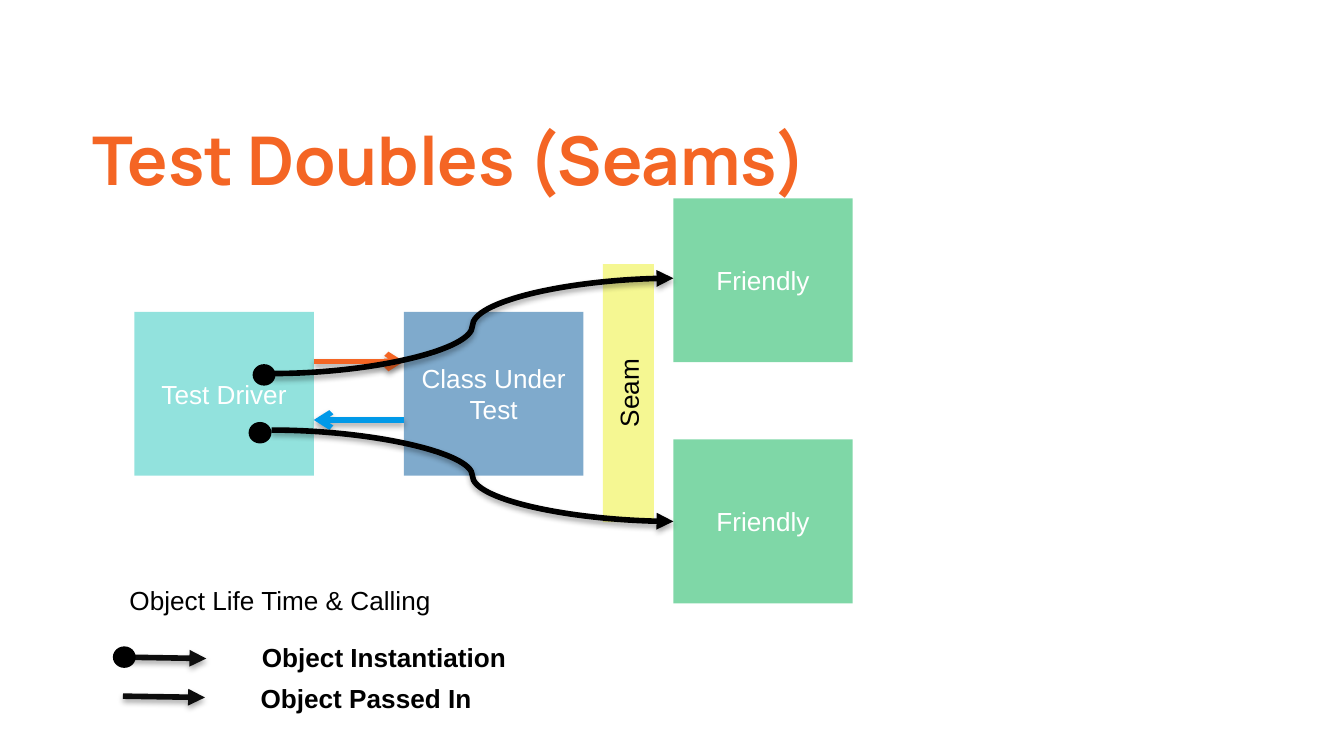
from dataclasses import dataclass

from lxml.etree import SubElement as Sub
from pptx import Presentation
from pptx.dml.color import RGBColor as Rgb
from pptx.enum.shapes import MSO_CONNECTOR as Wire, MSO_SHAPE as Form
from pptx.enum.text import MSO_ANCHOR as Anchor, MSO_AUTO_SIZE as Fit, PP_ALIGN as Align
from pptx.oxml.ns import qn
from pptx.util import Emu, Pt

SCALE = 4572  # EMU per px, 200 px to the inch


@dataclass(frozen=True)
class Theme:
    head: str = "F46524"
    driver: str = "27C7BD"
    target: str = "01579B"
    friend: str = "00B050"
    seam: str = "ECF127"
    reply: str = "0099E8"
    black: str = "000000"
    key: str = "0D0D0D"
    white: str = "FFFFFF"
    font: str = "Arial"
    title: str = "Manrope"
    big: int = 36
    body: int = 14
    line: int = 3


T = Theme()


def px(*vals):
    return [Emu(v * SCALE) for v in vals]


def apply(obj, **vals):
    for key, val in vals.items():
        setattr(obj, key, val)


def write(frame, text, color, align=Align.LEFT, **font):
    para = frame.paragraphs[0]
    para.alignment = align
    run = para.add_run()
    run.text = text
    look = {"name": T.font, "size": Pt(T.body)} | font
    apply(run.font, **look)
    run.font.color.rgb = Rgb.from_string(color)


def plain(slide, form, spot, color):
    shape = slide.shapes.add_shape(form, *px(*spot))
    shape.shadow.inherit = False
    shape.fill.solid()
    shape.fill.fore_color.rgb = Rgb.from_string(color)
    shape.line.fill.background()
    return shape


def block(slide, spot, color, text, ink=T.white, turn=0):
    """Half-clear box with a centred label."""
    shape = plain(slide, Form.RECTANGLE, spot, color)
    tint = shape.fill._xPr.find(qn("a:solidFill"))[0]
    Sub(tint, qn("a:alpha"), val="50000")
    shape.rotation = turn
    apply(shape.text_frame, word_wrap=True, vertical_anchor=Anchor.MIDDLE)
    write(shape.text_frame, text, ink, Align.CENTER)


def dot(slide, left, top):
    plain(slide, Form.FLOWCHART_CONNECTOR, (left, top, 34, 32), T.black)


def arrow(slide, ends, color, kind=Wire.STRAIGHT, tip="triangle"):
    wire = slide.shapes.add_connector(kind, *px(*ends))
    wire.line.width = Pt(T.line)
    wire.line.color.rgb = Rgb.from_string(color)
    Sub(wire.line._get_or_add_ln(), qn("a:tailEnd"), type=tip)
    # Soft shadow below the line
    fx = Sub(wire._element.spPr, qn("a:effectLst"))
    shade = Sub(fx, qn("a:outerShdw"), blurRad="40000", dist="23000",
                dir="5400000", rotWithShape="0")
    tint = Sub(shade, qn("a:srgbClr"), val=T.black)
    Sub(tint, qn("a:alpha"), val="35000")


def label(slide, spot, text, color=T.black, frame=None, **font):
    box = slide.shapes.add_textbox(*px(*spot)).text_frame
    look = {"word_wrap": False, "auto_size": Fit.SHAPE_TO_FIT_TEXT}
    apply(box, **(frame or look))
    write(box, text, color, **font)


def main():
    deck = Presentation()
    deck.slide_width, deck.slide_height = px(2000, 1125)
    slide = deck.slides.add_slide(deck.slide_layouts[6])

    # Title
    inset = px(20)[0]
    label(slide, (118, 156, 1472, 168), "Test Doubles (Seams)", T.head,
          {"word_wrap": True, "margin_top": inset, "margin_bottom": inset},
          name=T.title, size=Pt(T.big), bold=True)

    # Driver and class, with the calls between them
    size = (267, 244)
    block(slide, (200, 464, *size), T.driver, "Test Driver")
    block(slide, (601, 464, *size), T.target, "Class Under Test")
    arrow(slide, (467, 538, 601, 538), T.head, tip="arrow")
    arrow(slide, (601, 625, 467, 625), T.reply, tip="arrow")

    # Friends behind the seam
    for top in (295, 654):
        block(slide, (1002, top, *size), T.friend, "Friendly")
    block(slide, (743, 547, 384, 76), T.seam, "Seam", T.black, 270)

    # Links from the driver to each friend
    for start, end in ((556, 414), (640, 776)):
        arrow(slide, (404, start, 1002, end), T.black, Wire.CURVE)
    dot(slide, 370, 628)
    dot(slide, 376, 542)

    # Key
    label(slide, (173, 860, 494, 68), "Object Life Time & Calling")
    arrow(slide, (186, 978, 307, 980), T.key)
    dot(slide, 168, 962)
    arrow(slide, (183, 1036, 305, 1038), T.key)
    label(slide, (370, 945, 406, 68), "Object Instantiation", bold=True)
    label(slide, (368, 1006, 356, 68), "Object Passed In", bold=True)

    deck.save("out.pptx")


if __name__ == "__main__":
    main()
